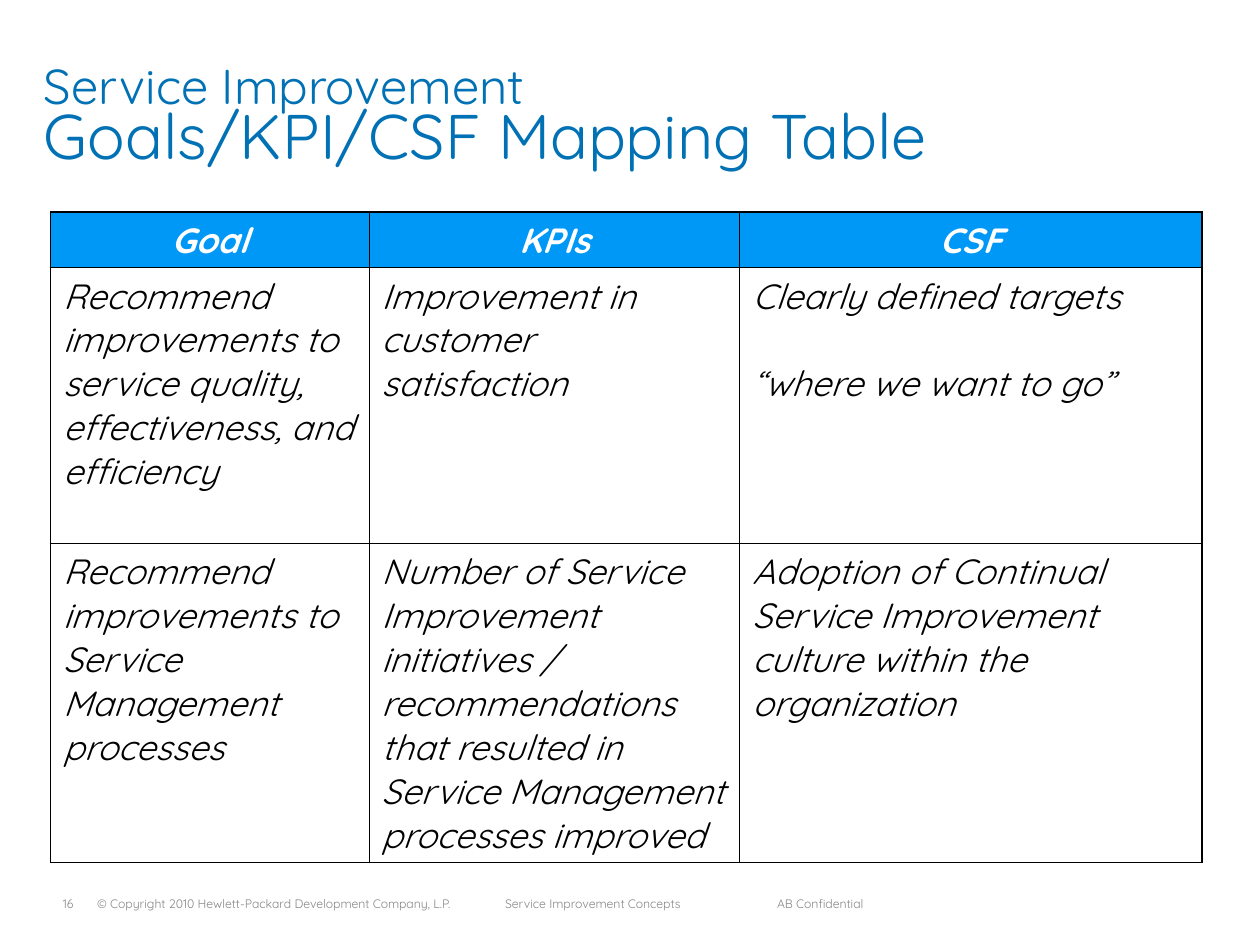
from dataclasses import dataclass

from lxml.etree import SubElement
from pptx import Presentation
from pptx.dml.color import RGBColor as RGB
from pptx.enum.text import MSO_ANCHOR as Anchor, PP_ALIGN as Align
from pptx.oxml.ns import qn
from pptx.util import Pt


@dataclass(frozen=True)
class Theme:
    font: str = "Quicksand"
    blue: str = "0071B4"
    head: str = "0098F6"
    ink: str = "000000"
    white: str = "FFFFFF"
    gray: str = "878787"
    small: float = 7
    body: float = 20
    sub: float = 28
    title: float = 36
    thin: float = 0.45
    thick: float = 1.08


T = Theme()
WIDTHS = (182, 212, 264)
HEIGHTS = (32, 157.5, 182.5)
# Each cell is a list of paragraphs
ROWS = (
    (["Goal"], ["KPIs"], ["CSF"]),
    (
        ["Recommend improvements to service quality, effectiveness, and efficiency"],
        ["Improvement in customer satisfaction"],
        ["Clearly defined targets", "“where we want to go”"],
    ),
    (
        ["Recommend improvements to Service Management processes"],
        ["Number of Service Improvement initiatives / recommendations "
         "that resulted in Service Management processes improved"],
        ["Adoption of Continual Service Improvement culture within the organization"],
    ),
)
# Left, width, text
NOTES = (
    (28.8, 30, "16"),
    (48.5, 310, "© Copyright 2010 Hewlett-Packard Development Company, L.P."),
    (281.5, 140, "Service Improvement Concepts"),
    (437, 120, "AB Confidential"),
)


def write(para, text, size=T.body, color=T.ink, bold=False, italic=False,
          align=Align.LEFT):
    para.alignment = align
    run = para.add_run()
    run.text = text
    font = run.font
    font.name, font.size = T.font, Pt(size)
    font.bold, font.italic = bold, italic
    font.color.rgb = RGB.from_string(color)


def add_box(slide, x, y, w, h, anchor=Anchor.TOP):
    frame = slide.shapes.add_textbox(Pt(x), Pt(y), Pt(w), Pt(h)).text_frame
    frame.word_wrap = True
    frame.vertical_anchor = anchor
    return frame.paragraphs[0]


def add_title(slide, x, y, w, h):
    para = add_box(slide, x, y, w, h, Anchor.BOTTOM)
    para.line_spacing = Pt(33)
    write(para, "Service Improvement", size=T.sub, color=T.blue)
    para.add_line_break()
    write(para, "Goals/KPI/CSF Mapping Table", size=T.title, color=T.blue)


def set_edges(cell, row, col):
    outer = {"lnL": col == 0, "lnR": col == len(WIDTHS) - 1,
             "lnT": row == 0, "lnB": False}
    props = cell._tc.get_or_add_tcPr()
    for at, (tag, thick) in enumerate(outer.items()):
        line = props.makeelement(qn("a:" + tag),
                                 {"w": str(Pt(T.thick if thick else T.thin))})
        fill = SubElement(line, qn("a:solidFill"))
        SubElement(fill, qn("a:srgbClr"), val=T.ink)
        props.insert(at, line)


def add_grid(slide, x, y):
    table = slide.shapes.add_table(
        len(ROWS), len(WIDTHS), Pt(x), Pt(y),
        Pt(sum(WIDTHS)), Pt(sum(HEIGHTS))).table
    table.horz_banding = False
    for col, width in zip(table.columns, WIDTHS):
        col.width = Pt(width)
    for r, (row, height) in enumerate(zip(ROWS, HEIGHTS)):
        table.rows[r].height = Pt(height)
        head = r == 0
        for c, lines in enumerate(row):
            cell = table.cell(r, c)
            cell.fill.solid()
            cell.fill.fore_color.rgb = RGB.from_string(T.head if head else T.white)
            set_edges(cell, r, c)
            frame = cell.text_frame
            for n, text in enumerate(lines):
                para = frame.add_paragraph() if n else frame.paragraphs[0]
                if n:
                    para.space_before = Pt(25)
                write(para, text, italic=True, bold=head,
                      color=T.white if head else T.ink,
                      align=Align.CENTER if head else Align.LEFT)


def add_foot(slide, y, h):
    for x, w, text in NOTES:
        write(add_box(slide, x, y, w, h), text, size=T.small, color=T.gray)


def main():
    deck = Presentation()
    deck.slide_width, deck.slide_height = Pt(720), Pt(540)
    slide = deck.slides.add_slide(deck.slide_layouts[6])
    # Heading, mapping table, footer
    add_title(slide, 18, 12, 650, 90)
    add_grid(slide, 28.8, 121)
    add_foot(slide, 508.5, 16)
    deck.save("out.pptx")


if __name__ == "__main__":
    main()
